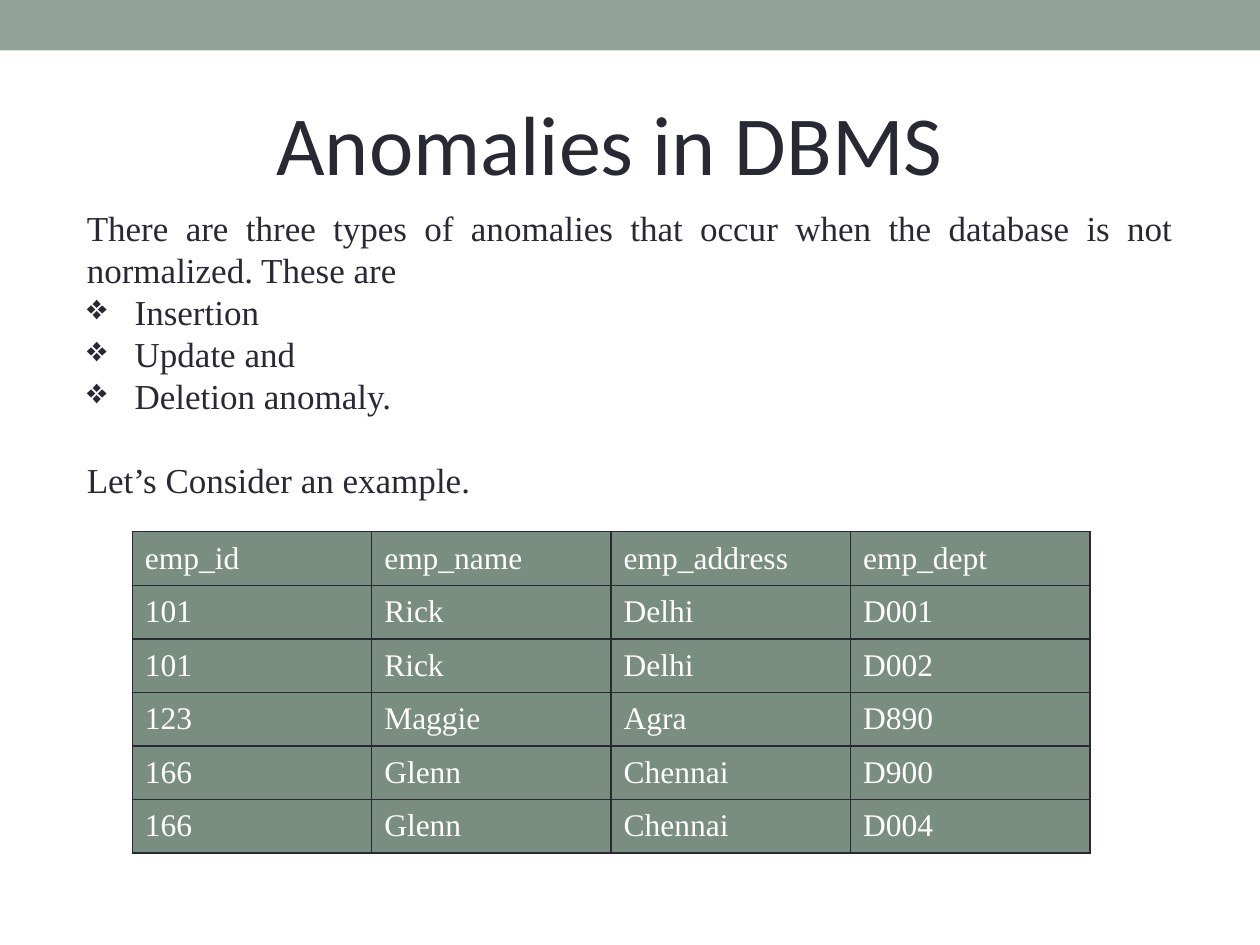
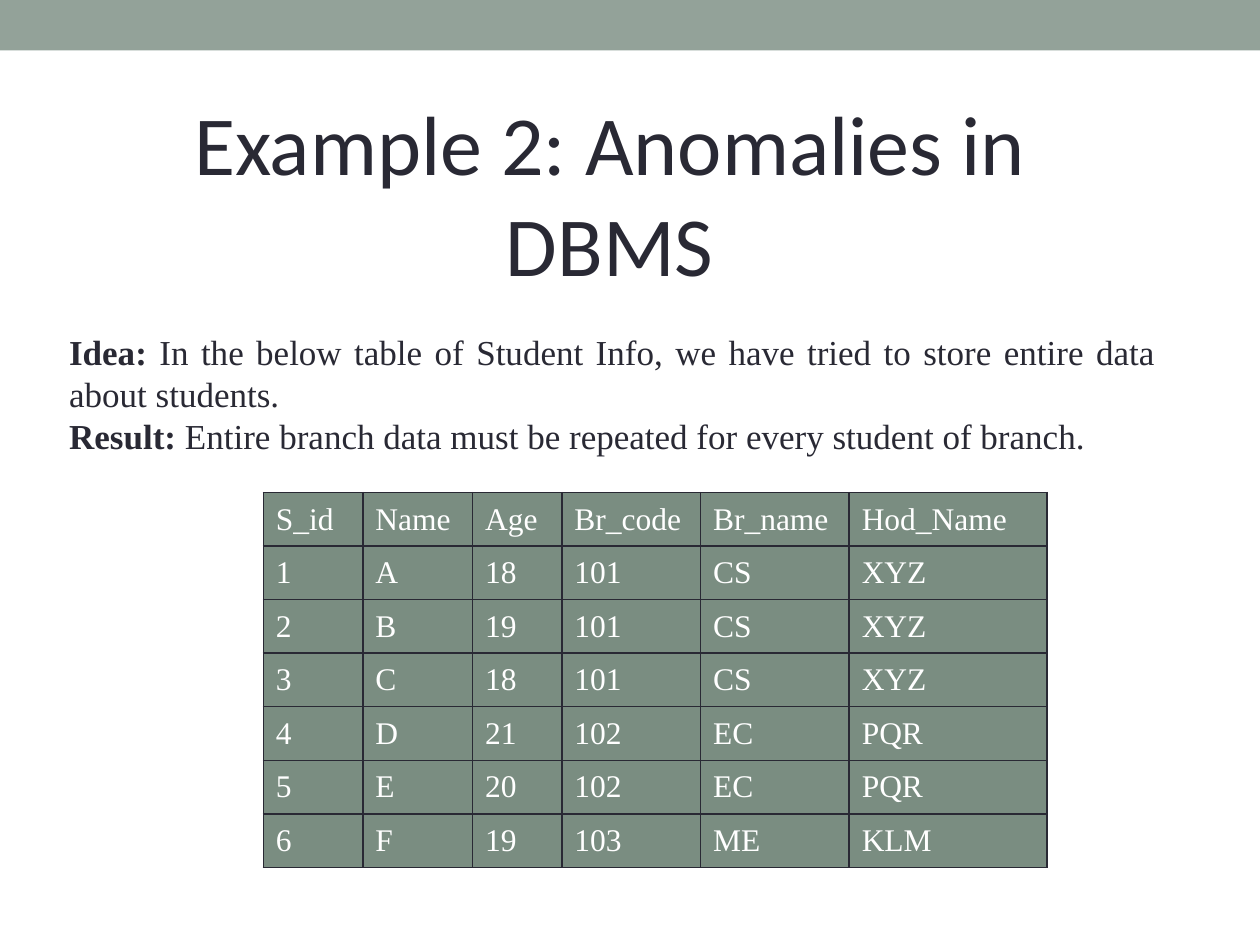
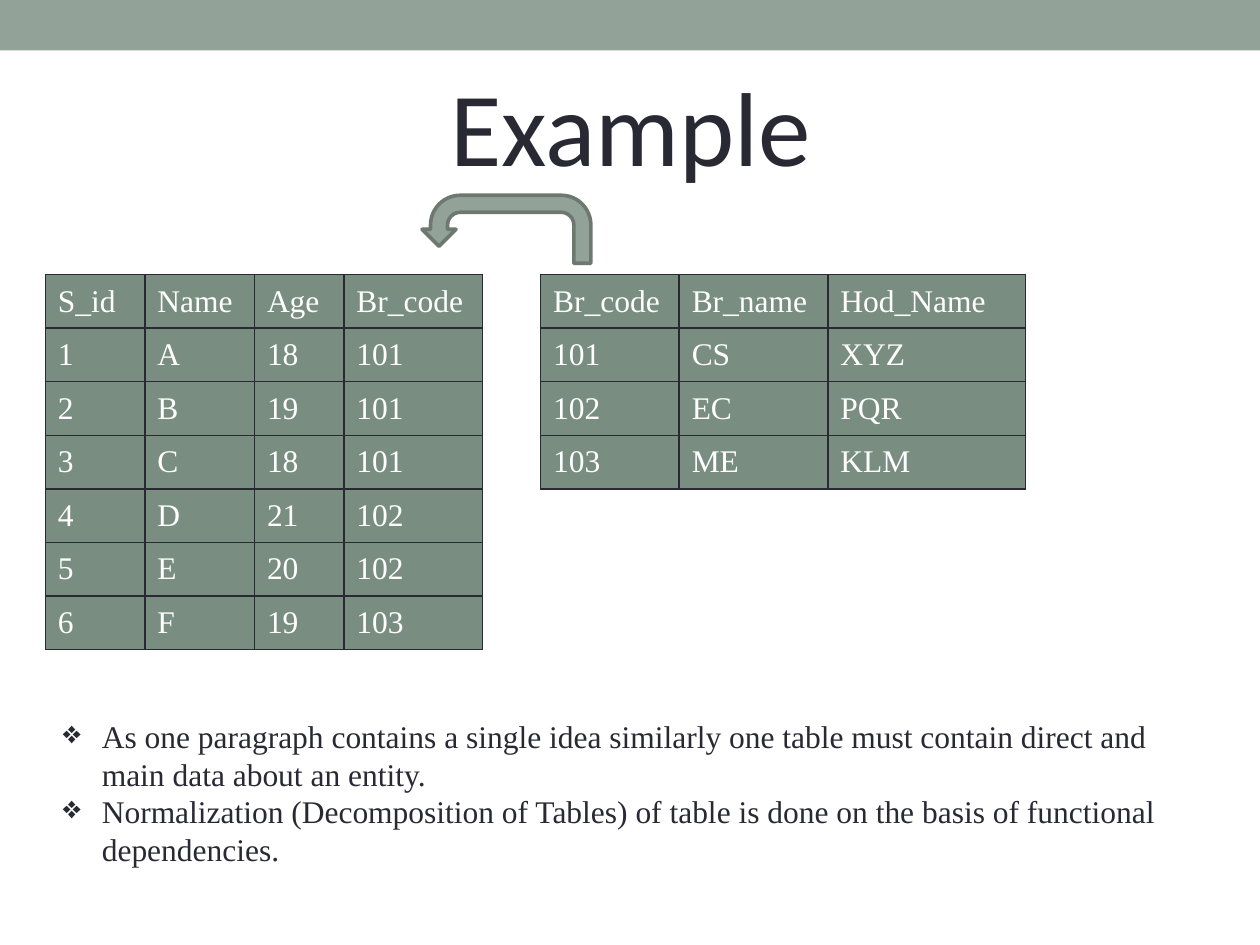
from pptx import Presentation
from pptx.dml.color import RGBColor
from pptx.enum.shapes import MSO_SHAPE
from pptx.enum.text import MSO_ANCHOR, MSO_AUTO_SIZE, PP_ALIGN
from pptx.oxml.ns import qn
from pptx.util import Inches, Pt
from lxml.etree import SubElement

HUES = {"band": "93A299", "ink": "292934", "cell": "7A8D81", "edge": "6D7871", "white": "FFFFFF"}
RGB = {name: RGBColor.from_string(hue) for name, hue in HUES.items()}
SERIF = "Times New Roman"
MARK = "❖"


def write(slide, box, lines, size, font=SERIF, align=PP_ALIGN.LEFT, dent=0):
    frame = slide.shapes.add_textbox(*map(Inches, box)).text_frame
    frame.word_wrap = True
    frame.auto_size = MSO_AUTO_SIZE.SHAPE_TO_FIT_TEXT
    frame.text = "\n".join(line.removeprefix(MARK) for line in lines)
    for line, para in zip(lines, frame.paragraphs):
        para.alignment = align
        if line.startswith(MARK):
            props = para._p.get_or_add_pPr()
            props.set("marL", str(Inches(dent)))
            props.set("indent", str(-Inches(dent)))
            SubElement(props, qn("a:buChar")).set("char", MARK)
        para.font.size = Pt(size)
        for run in para.runs:
            run.font.size = Pt(size)
            run.font.name = font
            run.font.color.rgb = RGB["ink"]
    return frame


def draw_grid(slide, left, top, wides, rows):
    high = 0.425
    table = slide.shapes.add_table(len(rows), len(wides), Inches(left), Inches(top),
                                   Inches(sum(wides)), Inches(high * len(rows))).table
    table.first_row = table.horz_banding = False
    for col, wide in zip(table.columns, wides):
        col.width = Inches(wide)
    for line, row in zip(table.rows, rows):
        line.height = Inches(high)
        for cell, text in zip(line.cells, row):
            cell.text_frame.text = text
            cell.vertical_anchor = MSO_ANCHOR.MIDDLE
            cell.margin_left = cell.margin_right = Inches(0.1)
            cell.margin_top = cell.margin_bottom = Inches(0.06)
            font = cell.text_frame.paragraphs[0].runs[0].font
            font.size = Pt(18)
            font.name = SERIF
            font.color.rgb = RGB["white"]
            props = cell._tc.get_or_add_tcPr()
            for side in ("lnL", "lnR", "lnT", "lnB"):
                edge = SubElement(props, qn(f"a:{side}"), w=str(Pt(1)))
                fill = SubElement(edge, qn("a:solidFill"))
                SubElement(fill, qn("a:srgbClr"), val=HUES["ink"])
            cell.fill.solid()
            cell.fill.fore_color.rgb = RGB["cell"]


deck = Presentation()
deck.slide_width, deck.slide_height = Inches(10), Inches(7.5)

titles = [
    ("Anomalies in DBMS", (0.98, 0.68, 7.72, 0.91), 48),
    ("Example 2: Anomalies in DBMS", (0.98, 0.68, 7.72, 1.72), 48),
    ("Example", (0.79, 0.44, 8.43, 1.11), 60),
]
for title, box, size in titles:
    slide = deck.slides.add_slide(deck.slide_layouts[6])
    band = slide.shapes.add_shape(MSO_SHAPE.RECTANGLE, 0, 0, deck.slide_width, Inches(0.4))
    band.shadow.inherit = False
    band.fill.solid()
    band.fill.fore_color.rgb = RGB["band"]
    band.line.fill.background()
    write(slide, box, [title], size, "Calibri", PP_ALIGN.CENTER)
first, second, third = deck.slides

intro = write(first, (0.59, 1.59, 8.82, 2.46), [
    "There are three types of anomalies that occur when the database is not normalized. These are",
    "❖Insertion",
    "❖Update and",
    "❖Deletion anomaly.",
    "Let’s Consider an example.",
], 20, align=PP_ALIGN.JUSTIFY, dent=0.38)
intro.paragraphs[-1].space_before = Pt(24)
draw_grid(first, 1.05, 4.22, [1.9] * 4, [
    ("emp_id", "emp_name", "emp_address", "emp_dept"),
    ("101", "Rick", "Delhi", "D001"),
    ("101", "Rick", "Delhi", "D002"),
    ("123", "Maggie", "Agra", "D890"),
    ("166", "Glenn", "Chennai", "D900"),
    ("166", "Glenn", "Chennai", "D004"),
])

notes = write(second, (0.45, 2.57, 8.82, 1.11), ["Idea:", "Result:"], 20, align=PP_ALIGN.JUSTIFY)
tails = [
    " In the below table of Student Info, we have tried to store entire data about students.",
    " Entire branch data must be repeated for every student of branch.",
]
for para, tail in zip(notes.paragraphs, tails):
    para.runs[0].font.bold = True
    run = para.add_run()
    run.text = tail
    run.font.size = Pt(20)
    run.font.name = SERIF
    run.font.color.rgb = RGB["ink"]

wides = [0.79, 0.87, 0.71, 1.1, 1.18, 1.57]
pupils = [
    ("S_id", "Name", "Age", "Br_code"),
    ("1", "A", "18", "101"),
    ("2", "B", "19", "101"),
    ("3", "C", "18", "101"),
    ("4", "D", "21", "102"),
    ("5", "E", "20", "102"),
    ("6", "F", "19", "103"),
]
branches = [
    ("Br_code", "Br_name", "Hod_Name"),
    ("101", "CS", "XYZ"),
    ("102", "EC", "PQR"),
    ("103", "ME", "KLM"),
]
heads = {row[0]: row[1:] for row in branches}
draw_grid(second, 2.09, 3.91, wides, [row + heads[row[-1]] for row in pupils])

draw_grid(third, 0.36, 2.18, wides[:4], pupils)
draw_grid(third, 4.29, 2.18, wides[3:], branches)
arrow = third.shapes.add_shape(MSO_SHAPE.U_TURN_ARROW, Inches(3.35), Inches(1.55),
                               Inches(1.34), Inches(0.54))
arrow._element.spPr.xfrm.set("flipH", "1")
arrow.shadow.inherit = False
arrow.fill.solid()
arrow.fill.fore_color.rgb = RGB["band"]
arrow.line.color.rgb = RGB["edge"]
arrow.line.width = Pt(2.08)
write(third, (0.4, 5.64, 9.09, 1.31), [
    "❖As one paragraph contains a single idea similarly one table must contain direct and main data about an entity.",
    "❖Normalization (Decomposition of Tables) of table is done on the basis of functional dependencies.",
], 18, dent=0.31)

deck.save("out.pptx")
